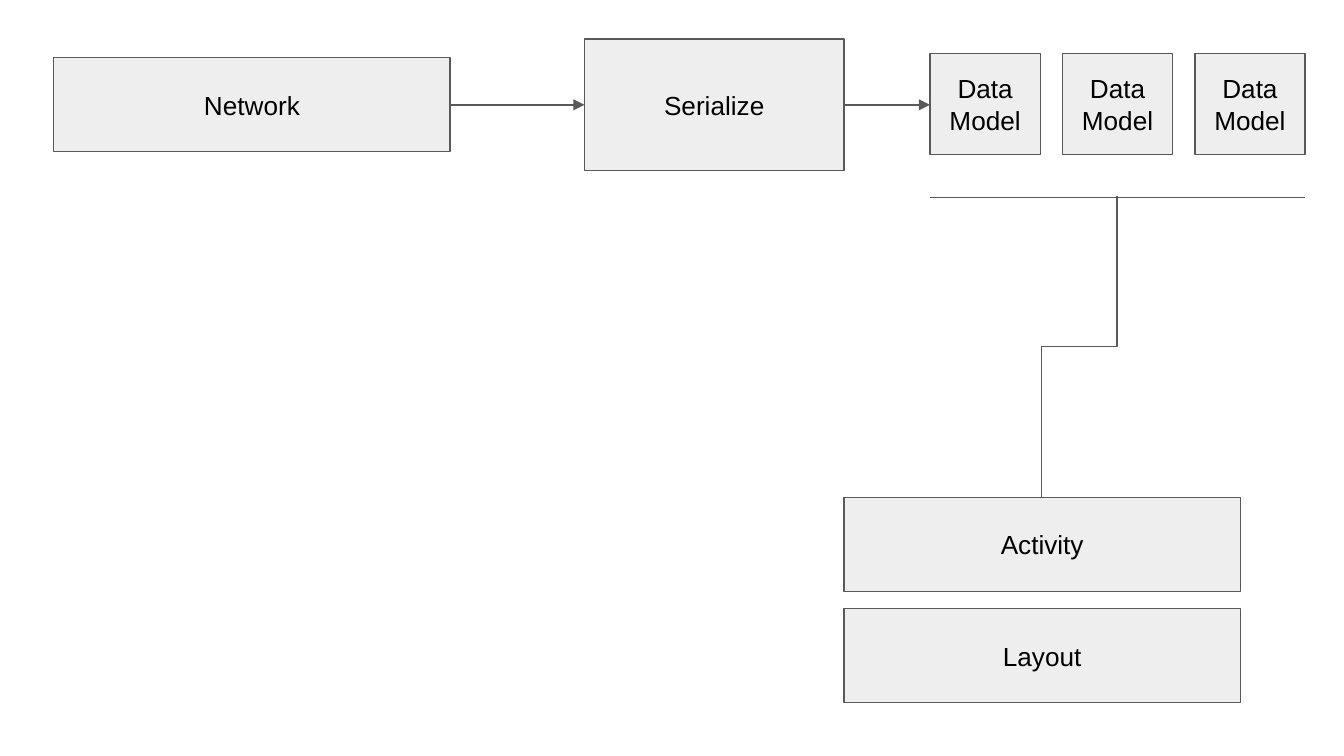
from pptx import Presentation
from pptx.dml.color import RGBColor
from pptx.enum import shapes, text
from pptx.oxml.ns import qn
from pptx.util import Inches, Pt
from lxml import etree

BOX_FILL = RGBColor(0xEE, 0xEE, 0xEE)
LINE = RGBColor(0x59, 0x59, 0x59)
BLACK = RGBColor(0, 0, 0)

TOP, LEFT, RIGHT = 0, 1, 3  # connection sites of a rectangle
BAR_WIDTH, BAR_HEIGHT = 2.95, 0.7
MODEL_WIDTH, MODEL_HEIGHT = 0.82, 0.75
MODELS_LEFT, MODELS_RIGHT, MODEL_COUNT = 6.92, 9.71, 3
ROW_MIDDLE = 0.78


def add_box(slide, label, left, top, width, height):
    box = slide.shapes.add_shape(
        shapes.MSO_SHAPE.RECTANGLE,
        Inches(left), Inches(top), Inches(width), Inches(height))
    box.shadow.inherit = False
    box.fill.solid()
    box.fill.fore_color.rgb = BOX_FILL
    box.line.color.rgb = LINE
    box.line.width = Pt(0.75)
    frame = box.text_frame
    frame.word_wrap = True
    frame.vertical_anchor = text.MSO_ANCHOR.MIDDLE
    frame.margin_left = frame.margin_right = Inches(0.1)
    frame.margin_top = frame.margin_bottom = Inches(0.1)
    paragraph = frame.paragraphs[0]
    paragraph.text = label
    paragraph.alignment = text.PP_ALIGN.CENTER
    paragraph.font.name = "Arial"
    paragraph.font.size = Pt(14)
    paragraph.font.color.rgb = BLACK
    return box


def add_line(slide, start, end, kind=shapes.MSO_CONNECTOR.STRAIGHT):
    connector = slide.shapes.add_connector(
        kind, *(Inches(value) for value in (*start, *end)))
    connector.line.color.rgb = LINE
    connector.line.width = Pt(0.75)
    etree.SubElement(connector._element.spPr, qn("a:effectLst"))
    return connector


def add_arrow(slide, source, target):
    """Arrow from the right side of one box to the left side of the next."""
    arrow = add_line(slide, (0, 0), (1, 0))
    arrow.begin_connect(source, RIGHT)
    arrow.end_connect(target, LEFT)
    # Keep the arrow level
    arrow.top, arrow.height = Inches(ROW_MIDDLE), 0
    outline = arrow._element.spPr.find(qn("a:ln"))
    etree.SubElement(outline, qn("a:tailEnd"), type="triangle")


def add_vertical_elbow(slide, start, end, target):
    """Elbow going down, across to the left and down to the top of target."""
    run, rise = end[1] - start[1], start[0] - end[0]
    left = (start[0] + end[0] - run) / 2
    top = (start[1] + end[1] - rise) / 2
    elbow = add_line(slide, (left, top), (left + run, top + rise),
                     shapes.MSO_CONNECTOR.ELBOW)
    elbow.end_connect(target, TOP)
    # A quarter turn makes the outer legs vertical
    elbow.left, elbow.top = Inches(left), Inches(top)
    elbow.width, elbow.height = Inches(run), Inches(rise)
    elbow._element.spPr.find(qn("a:xfrm")).set("rot", "5400000")


def main():
    presentation = Presentation()
    # Widescreen, 16:9
    presentation.slide_width = Inches(10)
    presentation.slide_height = Inches(10 * 9 / 16)
    slide = presentation.slides.add_slide(presentation.slide_layouts[6])

    # Screen layer
    activity = add_box(slide, "Activity", 6.28, 3.7, BAR_WIDTH, BAR_HEIGHT)
    add_box(slide, "Layout", 6.28, 4.53, BAR_WIDTH, BAR_HEIGHT)

    # Data flow
    network = add_box(slide, "Network", 0.4, 0.43, BAR_WIDTH, BAR_HEIGHT)
    serialize = add_box(slide, "Serialize", 4.35, 0.29, 1.93, 0.98)
    step = (MODELS_RIGHT - MODELS_LEFT - MODEL_WIDTH) / (MODEL_COUNT - 1)
    models = [
        add_box(slide, "Data Model", MODELS_LEFT + index * step, 0.4,
                MODEL_WIDTH, MODEL_HEIGHT)
        for index in range(MODEL_COUNT)
    ]
    add_arrow(slide, network, serialize)
    add_arrow(slide, serialize, models[0])

    # Line under the models, joined to the activity
    add_line(slide, (MODELS_LEFT, 1.47), (MODELS_RIGHT, 1.47))
    add_vertical_elbow(slide, (8.31, 1.46), (7.75, 3.7), activity)

    presentation.save("out.pptx")


if __name__ == "__main__":
    main()
